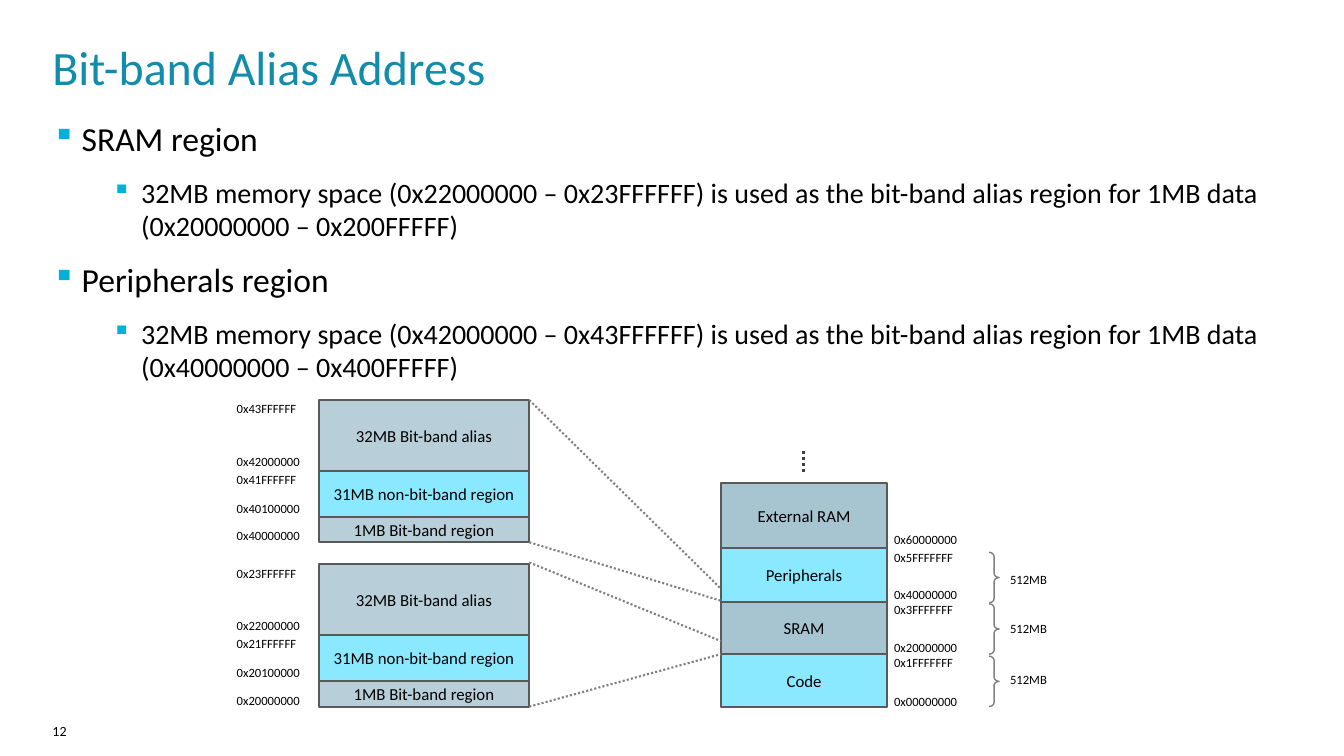
from itertools import accumulate

from lxml.etree import SubElement
from pptx import Presentation
from pptx.dml.color import RGBColor
from pptx.enum.dml import MSO_LINE
from pptx.enum.shapes import MSO_CONNECTOR, MSO_SHAPE
from pptx.enum.text import MSO_ANCHOR, PP_ALIGN
from pptx.oxml.ns import qn
from pptx.util import Pt

PX = 9144  # 100 px to the inch

BLACK = RGBColor(0, 0, 0)
TEAL = RGBColor(0x12, 0x8C, 0xAB)
CYAN = RGBColor(0x8B, 0xE9, 0xFF)
STEEL = RGBColor(0xA7, 0xC4, 0xD1)
PALE = RGBColor(0xB8, 0xCF, 0xDA)
EDGE = RGBColor(0x59, 0x59, 0x59)
GREY = RGBColor(0x80, 0x80, 0x80)
DARK = RGBColor(0x40, 0x40, 0x40)
BULLET = "00B1DB"

FLUSH = {"margin_left": 0, "margin_top": 0, "margin_right": 0, "margin_bottom": 0}

BODY = [
    (0, "SRAM region"),
    (1, "32MB memory space (0x22000000 – 0x23FFFFFF) is used as the bit-band "
        "alias region for 1MB data (0x20000000 – 0x200FFFFF)"),
    (0, "Peripherals region"),
    (1, "32MB memory space (0x42000000 – 0x43FFFFFF) is used as the bit-band "
        "alias region for 1MB data (0x40000000 – 0x400FFFFF)"),
]
LEVELS = [{"size": 24, "indent": 29}, {"size": 20, "indent": 88}]

ZONES = [("32MB Bit-band alias", 70, PALE),
         ("31MB non-bit-band region", 46, CYAN),
         ("1MB Bit-band region", 25, PALE)]
MARKS = [-4, 48, 66, 95, 122]  # address tops, from the top of a zone stack
ALIAS = [
    (397, ["0x43FFFFFF", "0x42000000", "0x41FFFFFF", "0x40100000", "0x40000000"]),
    (560, ["0x23FFFFFF", "0x22000000", "0x21FFFFFF", "0x20100000", "0x20000000"]),
]

MEMORY = [("External RAM", 65, STEEL), ("Peripherals", 53, CYAN),
          ("SRAM", 52, STEEL), ("Code", 52, CYAN)]
BOUNDS = [(523, "0x60000000"), (541, "0x5FFFFFFF"), (577, "0x40000000"),
          (592, "0x3FFFFFFF"), (630, "0x20000000"), (645, "0x1FFFFFFF"),
          (683, "0x00000000")]
BRACES = [(548, 562), (599, 611), (651, 662)]  # brace top, label top
LINKS = [(397, 584), (538, 596), (558, 636), (701, 649)]  # left y, right y


def emu(*lengths):
    return [length * PX for length in lengths]


def put(item, values):
    for name, value in values.items():
        setattr(item, name, value)


def style(para, size, color=BLACK):
    put(para.font, {"name": "Calibri", "size": Pt(size)})
    para.font.color.rgb = color


def label(slide, box, text, size=9, color=BLACK, frame=None):
    area = slide.shapes.add_textbox(*emu(*box)).text_frame
    put(area, {"word_wrap": True, **(frame or {})})
    area.text = text
    style(area.paragraphs[0], size, color)


def bullet(para, indent):
    props = para._p.get_or_add_pPr()
    props.set("marL", str(indent * PX))
    props.set("indent", str(-29 * PX))
    tint = SubElement(props, qn("a:buClr"))
    SubElement(tint, qn("a:srgbClr"), val=BULLET)
    SubElement(props, qn("a:buSzPct"), val="95000")
    SubElement(props, qn("a:buChar"), char="▪")


def outline(slide, box):
    area = slide.shapes.add_textbox(*emu(*box)).text_frame
    put(area, {"word_wrap": True, **FLUSH})
    for i, (level, text) in enumerate(BODY):
        para = area.add_paragraph() if i else area.paragraphs[0]
        bullet(para, LEVELS[level]["indent"])
        put(para, {"text": text, "level": level, "space_before": Pt(12 if i else 0)})
        style(para, LEVELS[level]["size"])


def block(slide, box, text, fill):
    shape = slide.shapes.add_shape(MSO_SHAPE.RECTANGLE, *emu(*box))
    shape.shadow.inherit = False
    shape.fill.solid()
    shape.fill.fore_color.rgb = fill
    shape.line.color.rgb = EDGE
    shape.line.width = Pt(1.5)
    area = shape.text_frame
    put(area, {"text": text, "word_wrap": False, "vertical_anchor": MSO_ANCHOR.MIDDLE})
    area.paragraphs[0].alignment = PP_ALIGN.CENTER
    style(area.paragraphs[0], 12)


def stack(slide, left, top, width, parts):
    """Draw the parts as touching blocks, from the top down."""
    tops = accumulate((high for _, high, _ in parts), initial=top)
    for y, (text, high, fill) in zip(tops, parts):
        block(slide, (left, y, width, high), text, fill)


def brace(slide, box):
    shape = slide.shapes.add_shape(MSO_SHAPE.RIGHT_BRACE, *emu(*box))
    shape.shadow.inherit = False
    shape.adjustments[0] = 0.4
    shape.fill.background()
    shape.line.color.rgb = GREY
    shape.line.width = Pt(1)


def dots(slide, ends, color=GREY, width=1.5):
    link = slide.shapes.add_connector(MSO_CONNECTOR.STRAIGHT, *emu(*ends))
    SubElement(link._element.spPr, qn("a:effectLst"))
    link.line.color.rgb = color
    put(link.line, {"width": Pt(width), "dash_style": MSO_LINE.ROUND_DOT})


def main():
    deck = Presentation()
    put(deck, {"slide_width": 1333 * PX, "slide_height": 750 * PX})
    slide = deck.slides.add_slide(deck.slide_layouts[6])

    label(slide, (52, 37, 1220, 63), "Bit-band Alias Address", 34.2, TEAL, FLUSH)
    outline(slide, (52, 117, 1220, 314))
    label(slide, (52, 717, 142, 26), "12", 10, frame=FLUSH)

    stack(slide, 715, 479, 165, MEMORY)
    for y, text in BOUNDS:
        label(slide, (877, y, 110, 25), text)
    for y, mid in BRACES:
        brace(slide, (981, y, 10, 50))
        label(slide, (992, mid, 77, 25), "512MB")

    for top, names in ALIAS:
        stack(slide, 316, top, 209, ZONES)
        for mark, text in zip(MARKS, names):
            label(slide, (225, top + mark, 110, 25), text)

    for start, end in LINKS:
        dots(slide, (525, start, 715, end))
    dots(slide, (797, 447, 797, 469), DARK, 2.25)

    deck.save("out.pptx")


if __name__ == "__main__":
    main()
